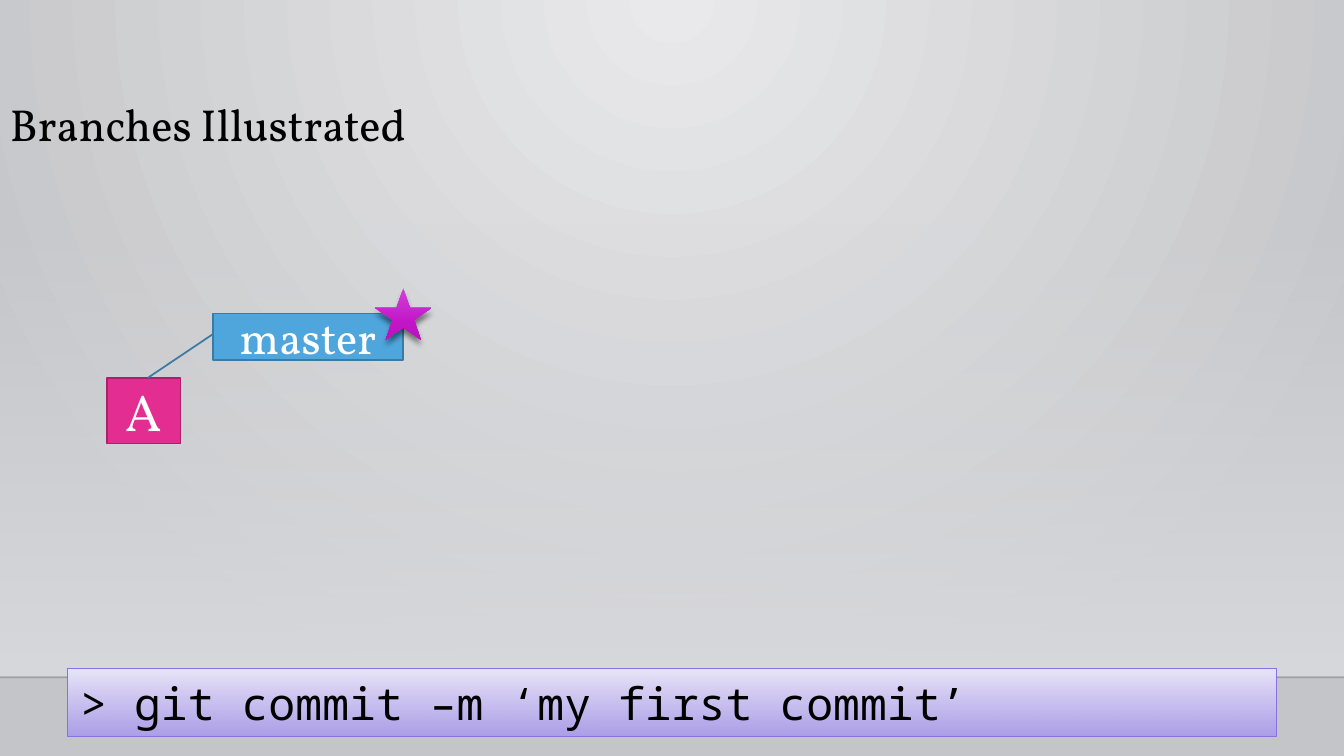
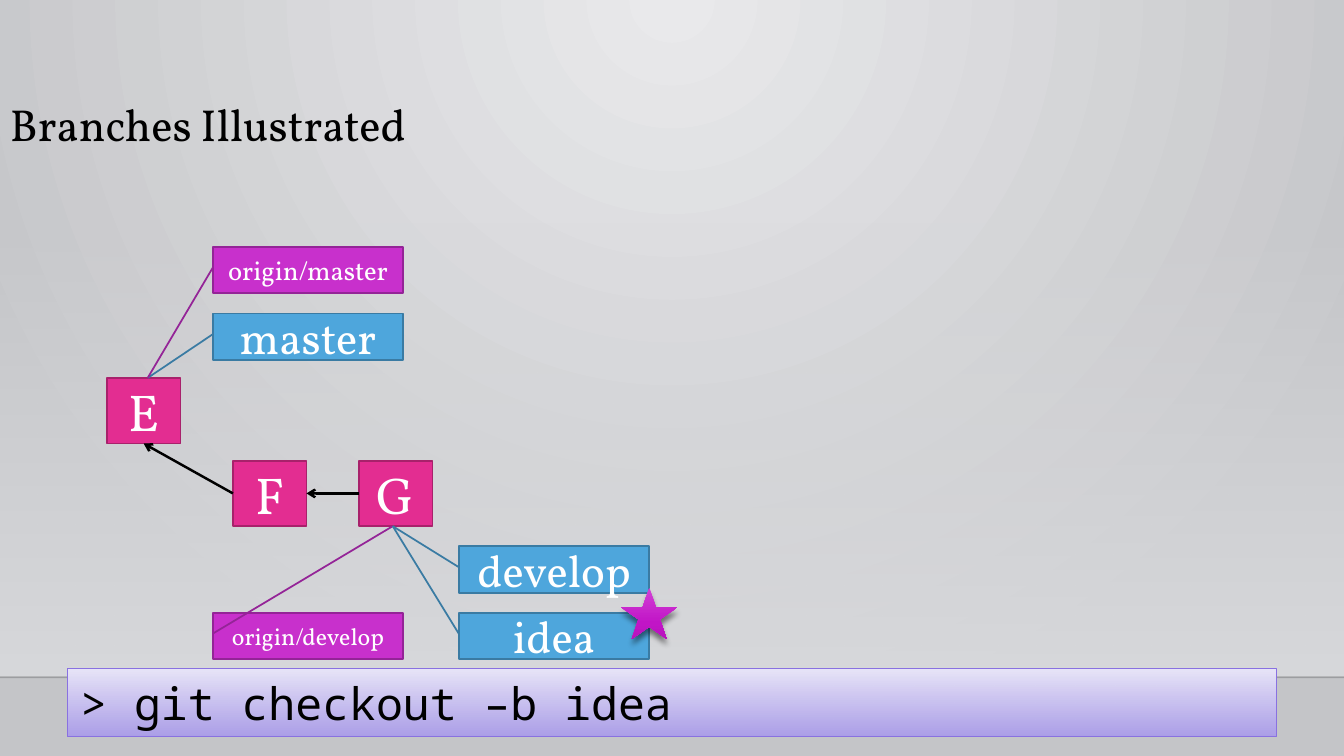
import pptx
import pptx.util
import pptx.dml.color
import pptx.enum.shapes
import pptx.enum.text
import pptx.oxml
import pptx.oxml.ns
from lxml import etree

KIND = pptx.enum.shapes.MSO_SHAPE
LINK = pptx.enum.shapes.MSO_CONNECTOR.STRAIGHT
ALIGN = pptx.enum.text.PP_ALIGN
ANCHOR = pptx.enum.text.MSO_ANCHOR
FIT = pptx.enum.text.MSO_AUTO_SIZE
inch, pt = pptx.util.Inches, pptx.util.Pt
rgb = pptx.dml.color.RGBColor.from_string
qn = pptx.oxml.ns.qn


class Theme:
    serif, mono = "Vollkorn", "Noto Sans Mono"
    black, white = "000000", "FFFFFF"
    large, node = 32, 37
    commit = ("E32D91", "A8216B")
    local = ("4EA6DC", "3A7BA3")
    remote = ("C830CC", "942497")
    edge = "8971E1"
    # Gradient stops: position, colour, opacity in percent
    back = [(0, "E9E9EB", 100), (100, "C4C5C8", 100)]
    haze = [(0, "D8D9DC", 0), (100, "D8D9DC", 100)]
    shell = [(0, "E9E6F9", 100), (100, "AA9CEB", 92)]
    star = [(0, "D241D6", 100), (69, "C115C6", 100), (100, "B714BC", 100)]


def blend(item, stops, shade='<a:lin ang="5400000" scaled="0"/>'):
    """Give a shape or a background a gradient fill."""
    item.fill.background()
    root = item.element if hasattr(item, "element") else page.element
    old = root.find(".//" + qn("a:noFill"))
    marks = "".join(
        f'<a:gs pos="{at * 1000}"><a:srgbClr val="{tint}">'
        f'<a:alpha val="{clear * 1000}"/></a:srgbClr></a:gs>'
        for at, tint, clear in stops)
    new = pptx.oxml.parse_xml(
        f'<a:gradFill {pptx.oxml.ns.nsdecls("a")} rotWithShape="1">'
        f'<a:gsLst>{marks}</a:gsLst>{shade}</a:gradFill>')
    old.getparent().replace(old, new)


def write(text, box, kind=KIND.RECTANGLE, fill=None, stops=None, line=None,
          width=1.25, font=Theme.serif, size=Theme.large, color=Theme.white,
          align=ALIGN.CENTER, anchor=ANCHOR.MIDDLE, inset=(0.13, 0.07),
          fit=FIT.NONE, space=1.0):
    """Draw a shape on the current page, with text if there is any."""
    shape = page.shapes.add_shape(kind, *[inch(n) for n in box])
    shape.shadow.inherit = False
    if stops:
        blend(shape, stops)
    elif fill:
        shape.fill.solid()
        shape.fill.fore_color.rgb = rgb(fill)
    else:
        shape.fill.background()
    if line:
        shape.line.color.rgb = rgb(line)
        shape.line.width = pt(width)
    else:
        shape.line.fill.background()
    if text:
        frame = shape.text_frame
        frame.word_wrap, frame.auto_size = True, fit
        frame.vertical_anchor = anchor
        frame.margin_left = frame.margin_right = inch(inset[0])
        frame.margin_top = frame.margin_bottom = inch(inset[1])
        para = frame.paragraphs[0]
        para.alignment, para.line_spacing = align, space
        run = para.add_run()
        run.text = text
        run.font.name, run.font.size = font, pt(size)
        run.font.color.rgb = rgb(color)
    return shape


# Slide size, and one percent of it each way
W, H = 13.33, 7.5
x, y = W / 100, H / 100

# Grids: first left and top, column and row step, cell width and height
NODES = (1.06, 3.75, 1.25, 0.82, 0.73, 0.65)
TAGS = (2.11, 2.45, 2.44, 0.66, 1.89, 0.46)

# Commits: name, column, row. Arrows: from, side, to, side.
# Branches: name, column, row, style, size, commit, end of the commit.
SLIDES = [
    dict(shell="> git commit –m ‘my first commit’",
         nodes=[("A", 0, 0)], arrows=[],
         tags=[("master", 0, 1, Theme.local, Theme.large, "A", "top")],
         head="master"),
    dict(shell="> git checkout –b idea",
         nodes=[("E", 0, 0), ("F", 1, 1), ("G", 2, 1)],
         arrows=[("F", 1, "E", 2), ("G", 1, "F", 3)],
         tags=[("master", 0, 1, Theme.local, Theme.large, "E", "top"),
               ("origin/master", 0, 0, Theme.remote, 19, "E", "top"),
               ("develop", 1, 4.5, Theme.local, Theme.large, "G", "foot"),
               ("origin/develop", 0, 5.5, Theme.remote, 17, "G", "foot"),
               ("idea", 1, 5.5, Theme.local, Theme.large, "G", "foot")],
         head="idea"),
]

deck = pptx.Presentation()
deck.slide_width, deck.slide_height = inch(W), inch(H)

for plan in SLIDES:
    page = deck.slides.add_slide(deck.slide_layouts[6])

    # Backdrop: glow from the top, haze and floor line
    blend(page.background, Theme.back,
          '<a:path path="circle"><a:fillToRect l="43000" t="0" r="43000" '
          'b="100000"/></a:path>')
    write("", (0, 29.3 * y, W, 60 * y), stops=Theme.haze)
    floor = page.shapes.add_connector(
        LINK, 0, inch(89.6 * y), inch(W), inch(89.6 * y))
    floor.line.color.rgb = rgb(Theme.black)
    floor.line.width = pt(1)
    tint = floor.element.find(".//" + qn("a:srgbClr"))
    etree.SubElement(tint, qn("a:alpha"), val="20000")
    etree.SubElement(floor.element.spPr, qn("a:effectLst"))

    # Title
    write("Branches Illustrated", (0, 4 * y, 90 * x, 16.7 * y),
          color=Theme.black, align=ALIGN.LEFT, anchor=ANCHOR.BOTTOM,
          inset=(0.1, 0.05), space=0.9)

    # Commits
    left, top, dx, dy, wide, high = NODES
    nodes, ends = {}, {}
    for name, col, row in plan["nodes"]:
        cx, cy = left + col * dx, top + row * dy
        nodes[name] = write(name, (cx, cy, wide, high), fill=Theme.commit[0],
                            line=Theme.commit[1], size=Theme.node)
        mid = cx + wide / 2
        ends[name, "top"] = (mid + 0.04, cy)
        ends[name, "foot"] = (mid - 0.03, cy + high)

    # Arrows to the parent commits
    for start, out, goal, into in plan["arrows"]:
        arrow = page.shapes.add_connector(LINK, 0, 0, 0, 0)
        arrow.begin_connect(nodes[start], out)
        arrow.end_connect(nodes[goal], into)
        arrow.line.color.rgb = rgb(Theme.black)
        arrow.line.width = pt(1.75)
        etree.SubElement(arrow.element.find(".//" + qn("a:ln")),
                         qn("a:tailEnd"), type="arrow")
        etree.SubElement(arrow.element.spPr, qn("a:effectLst"))

    # Branch labels, each pointing at its commit
    left, top, dx, dy, wide, high = TAGS
    for name, col, row, style, size, node, end in plan["tags"]:
        tx, ty = left + col * dx, top + row * dy
        tag = write(name, (tx, ty, wide, high), kind=KIND.LINE_CALLOUT_1,
                    fill=style[0], line=style[1], size=size)
        px, py = ends[node, end]
        turns = (0.45, 0, (py - ty) / high, (px - tx) / wide)
        for spot, turn in enumerate(turns):
            tag.adjustments[spot] = turn
        if name == plan["head"]:
            hx, hy = tx + wide, ty

    # Command line
    write(plan["shell"], (5 * x, 88.4 * y, 90 * x, 9 * y), stops=Theme.shell,
          line=Theme.edge, width=0.75, font=Theme.mono, color=Theme.black,
          align=ALIGN.LEFT, anchor=ANCHOR.TOP, fit=FIT.SHAPE_TO_FIT_TEXT)

    # Star on the corner of the current branch
    star = write("", (hx - 0.28, hy - 0.25, 0.56, 0.51),
                 kind=KIND.STAR_5_POINT, stops=Theme.star)
    cast = etree.SubElement(
        star.element.spPr.find(qn("a:effectLst")), qn("a:outerShdw"),
        blurRad=str(pt(4)), dist=str(pt(4)), dir="5400000", rotWithShape="0")
    tint = etree.SubElement(cast, qn("a:srgbClr"), val=Theme.black)
    etree.SubElement(tint, qn("a:alpha"), val="48000")

deck.save("out.pptx")
